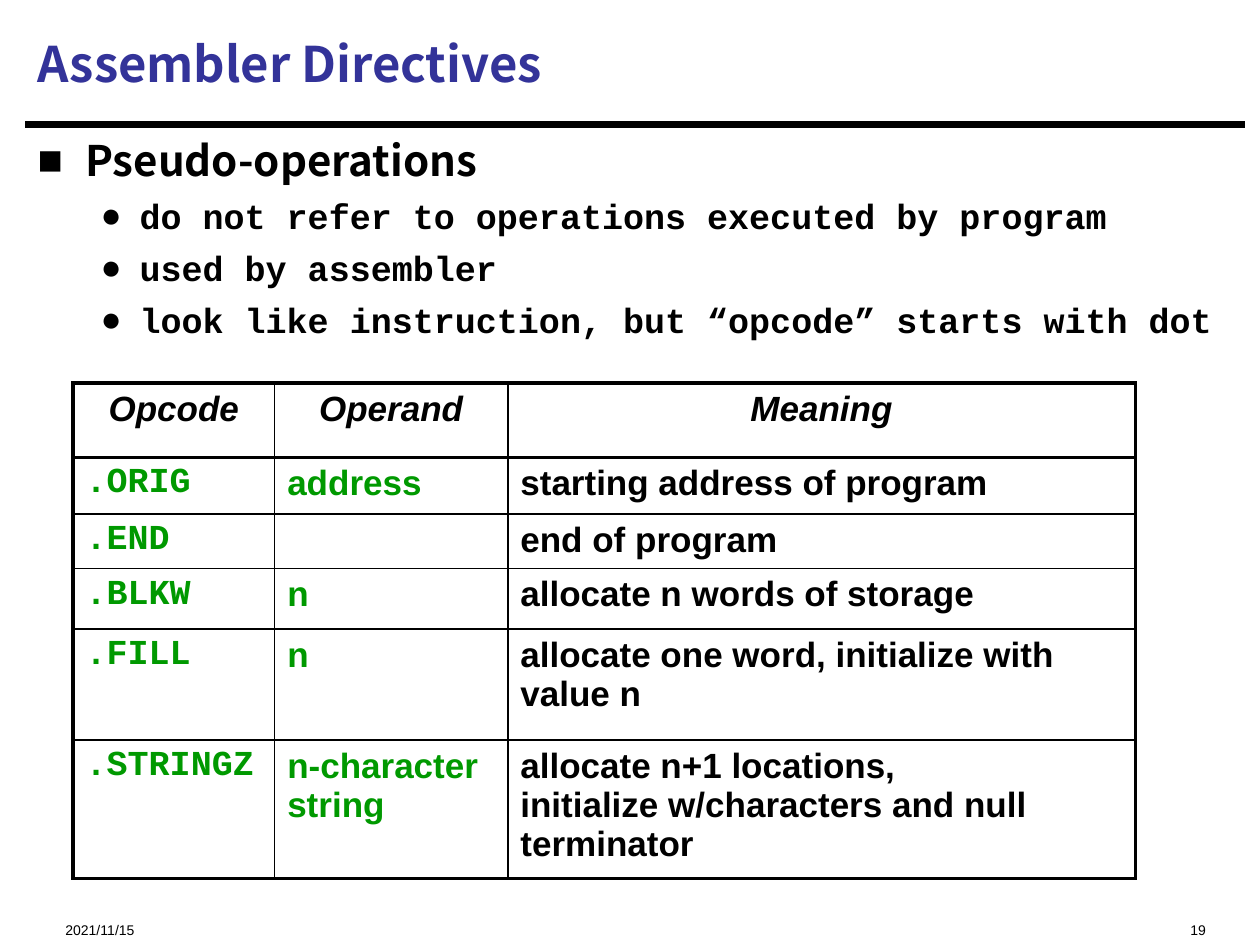
from lxml.etree import SubElement
from pptx import Presentation
from pptx.dml.color import RGBColor
from pptx.enum.shapes import MSO_CONNECTOR
from pptx.enum.text import MSO_ANCHOR, PP_ALIGN
from pptx.oxml.ns import qn
from pptx.util import Inches, Pt

BLACK = RGBColor(0x00, 0x00, 0x00)
BLUE = RGBColor(0x33, 0x33, 0x99)
GREEN = RGBColor(0x00, 0x99, 0x00)
SANS, MONO, HEADING = "Arial", "Courier New", "Noto Sans CJK SC"
THICK, THIN = Pt(2.25), Pt(1)

TITLE_BOX = (0.2, 0.08, 9.67, 0.84)
RULE_BOX = (0.2, 0.99, 9.68, 0)
BODY_BOX = (0.2, 1.07, 9.67, 1.97)
TABLE_BOX = (0.58, 3.04, 8.43, 3.93)
DATE_BOX = (0.42, 7.15, 2.5, 0.27)
NUMBER_BOX = (6.67, 7.15, 3, 0.27)

COLUMN_SHARES = (1.6, 1.85, 4.98)
ROW_SHARES = (0.59, 0.45, 0.43, 0.48, 0.88, 1.1)

BODY = [
    ("Pseudo-operations", 0),
    ("do not refer to operations executed by program", 1),
    ("used by assembler", 1),
    ("look like instruction, but “opcode” starts with dot", 1),
]
LEVELS = [("■", 0.38, 0.38, HEADING, 24), ("●", 0.81, 0.31, MONO, 20)]
DIRECTIVES = [
    ("Opcode", "Operand", "Meaning"),
    (".ORIG", "address", "starting address of program"),
    (".END", "", "end of program"),
    (".BLKW", "n", "allocate n words of storage"),
    (".FILL", "n", "allocate one word, initialize with value n"),
    (".STRINGZ", "n-character \nstring",
     "allocate n+1 locations, \ninitialize w/characters and null terminator"),
]


def add_run(paragraph, text, font_name, size, color=BLACK, bold=True, italic=False):
    """Add one formatted run to a paragraph."""
    run = paragraph.add_run()
    run.text = text
    run.font.name = font_name
    run.font.size = Pt(size)
    run.font.color.rgb = color
    run.font.bold = bold
    run.font.italic = italic


def add_text_frame(slide, box, anchor=MSO_ANCHOR.TOP):
    """Add a wrapping text box and return its frame."""
    frame = slide.shapes.add_textbox(*map(Inches, box)).text_frame
    frame.word_wrap = True
    frame.vertical_anchor = anchor
    return frame


def add_title(slide, box, text):
    """Place the slide title."""
    frame = add_text_frame(slide, box, MSO_ANCHOR.MIDDLE)
    add_run(frame.paragraphs[0], text, HEADING, 28, BLUE)


def add_rule(slide, box):
    """Draw the line under the title."""
    left, top, width, height = map(Inches, box)
    rule = slide.shapes.add_connector(
        MSO_CONNECTOR.STRAIGHT, left, top, left + width, top + height)
    rule.line.color.rgb = BLACK
    rule.line.width = Pt(3.75)
    SubElement(rule._element.spPr, qn("a:effectLst"))


def set_bullet(paragraph, character, margin, hanging):
    """Give a paragraph a bullet and a hanging indent."""
    properties = paragraph._p.get_or_add_pPr()
    properties.set("marL", str(Inches(margin)))
    properties.set("indent", str(-Inches(hanging)))
    SubElement(properties, qn("a:buFont"), typeface=SANS)
    SubElement(properties, qn("a:buChar"), char=character)


def add_body(slide, box, items):
    """Place the two-level bullet list."""
    frame = add_text_frame(slide, box)
    frame.margin_top = 0
    for index, (text, level) in enumerate(items):
        paragraph = frame.add_paragraph() if index else frame.paragraphs[0]
        character, margin, hanging, font_name, size = LEVELS[level]
        paragraph.level = level
        if index:
            paragraph.space_before = Pt(5.5)
        set_bullet(paragraph, character, margin, hanging)
        add_run(paragraph, text, font_name, size)


def set_borders(cell, widths):
    """Draw black left, right, top and bottom borders on a cell."""
    properties = cell._tc.get_or_add_tcPr()
    for position, (side, width) in enumerate(zip("LRTB", widths)):
        line = properties.makeelement(qn(f"a:ln{side}"), {"w": str(width)})
        fill = SubElement(line, qn("a:solidFill"))
        SubElement(fill, qn("a:srgbClr"), val=str(BLACK))
        properties.insert(position, line)


def fill_cell(cell, text, row, column):
    """Write a cell's text in the style of its row and column."""
    paragraph = cell.text_frame.paragraphs[0]
    header = row == 0
    if header:
        paragraph.alignment = PP_ALIGN.CENTER
    font_name = MONO if column == 0 and not header else SANS
    color = BLACK if header or column == 2 else GREEN
    for index, line in enumerate(text.split("\n") if text else []):
        if index:
            paragraph.add_line_break()
        add_run(paragraph, line, font_name, 20, color, italic=header)


def add_directive_table(slide, box, rows):
    """Place the table with a heavy frame and header rule."""
    left, top, width, height = map(Inches, box)
    last_row, last_column = len(rows) - 1, len(COLUMN_SHARES) - 1
    table = slide.shapes.add_table(
        len(rows), len(COLUMN_SHARES), left, top, width, height).table
    for column, share in zip(table.columns, COLUMN_SHARES):
        column.width = int(width * share / sum(COLUMN_SHARES))
    for row, share in zip(table.rows, ROW_SHARES):
        row.height = int(height * share / sum(ROW_SHARES))
    for row, texts in enumerate(rows):
        for column, text in enumerate(texts):
            cell = table.cell(row, column)
            cell.fill.background()
            heavy = (column == 0, column == last_column, row <= 1, row in (0, last_row))
            set_borders(cell, [THICK if side else THIN for side in heavy])
            fill_cell(cell, text, row, column)


def add_footer(slide, box, text, alignment):
    """Place one small footer text."""
    frame = add_text_frame(slide, box)
    frame.margin_top = Inches(0.19)
    frame.margin_bottom = 0
    frame.paragraphs[0].alignment = alignment
    add_run(frame.paragraphs[0], text, SANS, 8, bold=False)


def main():
    """Build and save the slide."""
    presentation = Presentation()
    presentation.slide_width = Inches(10)
    presentation.slide_height = Inches(7.5)
    slide = presentation.slides.add_slide(presentation.slide_layouts[6])
    add_rule(slide, RULE_BOX)
    add_footer(slide, DATE_BOX, "2021/11/15", PP_ALIGN.LEFT)
    add_footer(slide, NUMBER_BOX, "19", PP_ALIGN.RIGHT)
    add_title(slide, TITLE_BOX, "Assembler Directives")
    add_body(slide, BODY_BOX, BODY)
    add_directive_table(slide, TABLE_BOX, DIRECTIVES)
    presentation.save("out.pptx")


if __name__ == "__main__":
    main()
